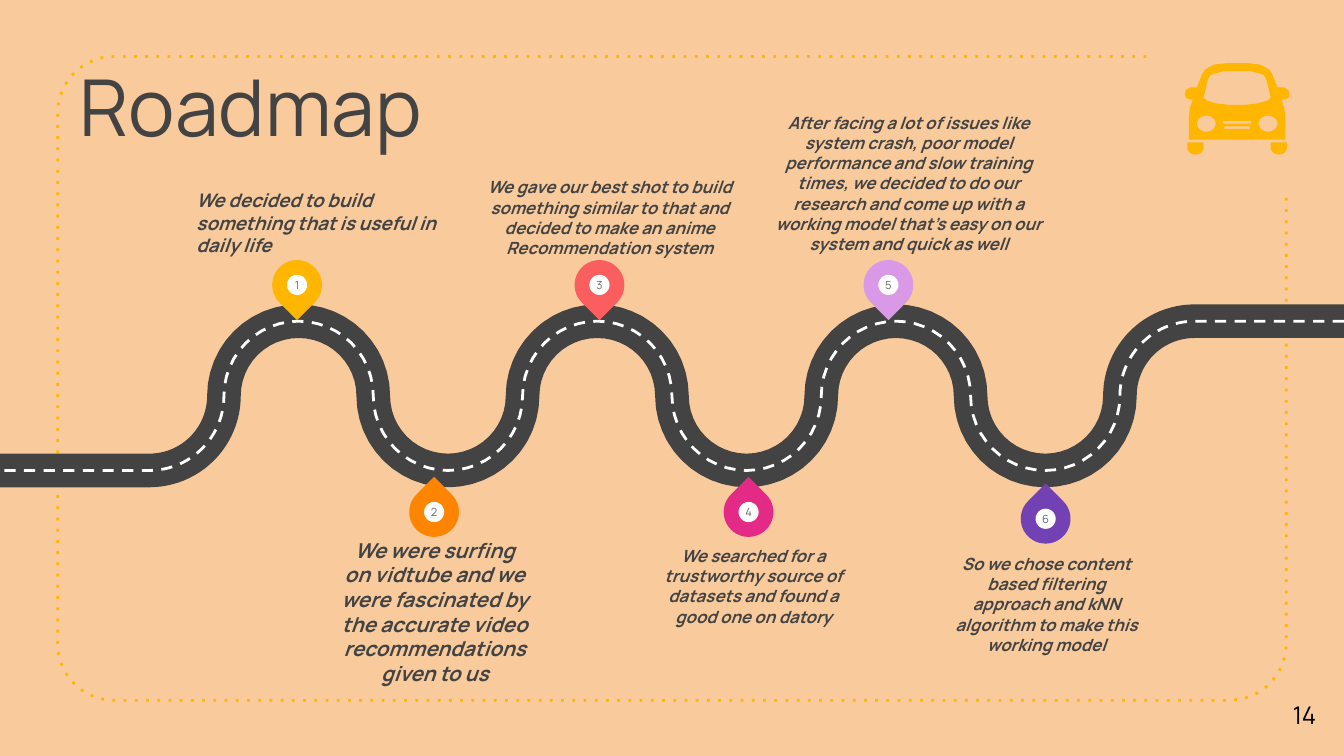
import dataclasses
import math

import pptx
import pptx.dml.color
import pptx.enum.dml
import pptx.enum.shapes
import pptx.enum.text
import pptx.oxml.ns
import pptx.util
from pptx.util import Inches

ANCHOR = pptx.enum.text.MSO_ANCHOR
ALIGN = pptx.enum.text.PP_ALIGN
SHAPE = pptx.enum.shapes.MSO_SHAPE


@dataclasses.dataclass(frozen=True)
class Theme:
    """Colours, font and type sizes of the slide."""
    font: str = "Manrope"
    background: str = "F9CB9C"
    accent: str = "FFB600"
    dark: str = "434343"
    number: str = "666666"
    white: str = "FFFFFF"
    black: str = "000000"
    title_size: int = 42
    page_size: int = 13
    pin_size: int = 6


THEME = Theme()

MILESTONES = [
    ("1", "FFB600", 2.21, 2.12, (1.46, 1.41, 1.85, 0.5), 10,
     ["We decided to build something that is useful in daily life"]),
    ("2", "FF8400", 3.23, 3.81, (2.53, 4, 1.41, 1.11), 11,
     ["We were surfing on vidtube and we were fascinated by the accurate "
      "video recommendations given to us"]),
    ("3", "FA5E5E", 4.46, 2.12, (3.58, 1.31, 1.91, 0.61), 9,
     ["We gave our best shot to build something similar to that and decided to make an anime",
      "Recommendation system"]),
    ("4", "E42A87", 5.57, 3.81, (4.86, 4.06, 1.49, 0.61), 9,
     ["We searched for a trustworthy source of datasets and found a good one on datory"]),
    ("5", "D999E6", 6.61, 2.12, (5.77, 0.83, 1.98, 1.06), 9,
     ["After facing a lot of issues like system crash, poor model performance and slow "
      "training times, we decided to do our research and come up with a working model "
      "that's easy on our system and quick as well"]),
    ("6", "7241B4", 7.78, 3.86, (7.08, 4.12, 1.41, 0.76), 9,
     ["So we chose content based filtering approach and kNN algorithm to make this "
      "working model"]),
]


def rgb(code):
    """Return the colour for a hex code."""
    return pptx.dml.color.RGBColor.from_string(code)


def arc(x, y, radius_x, radius_y, start, end, steps=24):
    """Return points along an elliptical arc, angles in degrees, y downwards."""
    angles = [math.radians(start + (end - start) * i / steps) for i in range(steps + 1)]
    return [(x + radius_x * math.cos(a), y + radius_y * math.sin(a)) for a in angles]


def mirrored(half):
    """Return a half outline followed by its reflection about x = 0."""
    return half + [(-x, y) for x, y in reversed(half)]


def draw_outline(slide, contours, origin=(0, 0), closed=False):
    """Draw contours, given in inches from an origin, as one freeform."""
    placed = [[(Inches(origin[0] + x), Inches(origin[1] + y)) for x, y in contour]
              for contour in contours]
    builder = slide.shapes.build_freeform(*placed[0][0], scale=1.0)
    builder.add_line_segments(placed[0][1:], close=closed)
    for contour in placed[1:]:
        builder.move_to(*contour[0])
        builder.add_line_segments(contour[1:], close=closed)
    shape = builder.convert_to_shape()
    shape.shadow.inherit = False
    return shape


def draw_line(slide, points, color, width, dash=None):
    """Draw an open line through points, with an optional preset dash."""
    shape = draw_outline(slide, [points])
    shape.fill.background()
    shape.line.color.rgb = rgb(color)
    shape.line.width = pptx.util.Pt(width)
    if dash:
        shape.line.dash_style = pptx.enum.dml.MSO_LINE.DASH
        shape._element.spPr.find(".//" + pptx.oxml.ns.qn("a:prstDash")).set("val", dash)


def draw_solid(slide, kind, center, size, color):
    """Draw a filled square-boxed preset shape around a centre."""
    shape = slide.shapes.add_shape(kind, Inches(center[0] - size / 2),
                                   Inches(center[1] - size / 2), Inches(size), Inches(size))
    shape.shadow.inherit = False
    shape.fill.solid()
    shape.fill.fore_color.rgb = rgb(color)
    shape.line.fill.background()
    return shape


def write(shape, lines, size, color, align=ALIGN.CENTER, anchor=ANCHOR.MIDDLE,
          inset=0, emphasis=False):
    """Fill a shape with formatted paragraphs."""
    frame = shape.text_frame
    frame.word_wrap = True
    frame.auto_size = pptx.enum.text.MSO_AUTO_SIZE.NONE
    frame.vertical_anchor = anchor
    frame.margin_left = frame.margin_right = Inches(inset)
    frame.margin_top = frame.margin_bottom = Inches(inset)
    frame.text = "\n".join(lines)
    for paragraph in frame.paragraphs:
        paragraph.alignment = align
        font = paragraph.font
        font.name, font.size = THEME.font, pptx.util.Pt(size)
        font.color.rgb = rgb(color)
        font.bold = font.italic = emphasis


def add_frame(slide, left, top, width, height):
    """Draw the dotted border, left open at the top right for the car."""
    radius, right, bottom = 0.42, left + width, top + height
    points = [(right - 1.04, top)]
    points += arc(left + radius, top + radius, radius, radius, 270, 180)
    points += arc(left + radius, bottom - radius, radius, radius, 180, 90)
    points += arc(right - radius, bottom - radius, radius, radius, 90, 0)
    points.append((right, top + 1.04))
    draw_line(slide, points, THEME.accent, 1.5, "dot")


def add_title(slide, left, top, width, height):
    """Place and format the title placeholder."""
    title = slide.shapes.title
    title.left, title.top = Inches(left), Inches(top)
    title.width, title.height = Inches(width), Inches(height)
    write(title, ["Roadmap"], THEME.title_size, THEME.dark, ALIGN.LEFT, ANCHOR.TOP, 0.1)


def add_road(slide, left, top, width, bends=8):
    """Draw a winding road of half circles with a dashed centre line."""
    pitch = width / (bends + 1)
    radius = pitch / 2
    points = [(left + width, top)]
    for bend in range(bends, 0, -1):
        turn = -1 if bend % 2 == 0 else 1
        start = 90 if bend == bends else 0
        end = 90 if bend == 1 else 180
        points += arc(left + bend * pitch, top + radius, radius, radius,
                      turn * start, turn * end)
    points.append((left, top + pitch))
    draw_line(slide, points, THEME.dark, 18)
    draw_line(slide, points, THEME.white, 1.5, "dash")


def add_milestone(slide, number, color, x, y, box, size, lines):
    """Add a numbered pin pointing at the road and its description."""
    above = box[1] < y
    pin = draw_solid(slide, SHAPE.TEAR, (x, y), 0.37, color)
    pin.rotation = 135 if above else 315
    dot = draw_solid(slide, SHAPE.OVAL, (x, y), 0.15, THEME.white)
    write(dot, [number], THEME.pin_size, THEME.number)
    label = slide.shapes.add_textbox(*map(Inches, box))
    write(label, lines, size, THEME.dark, ALIGN.LEFT if number == "1" else ALIGN.CENTER,
          ANCHOR.BOTTOM if above else ANCHOR.TOP, emphasis=True)


def add_car(slide, left, top, width):
    """Draw a car seen from the front, with cut-out glass, lamps and grille."""
    body = mirrored([(0, 0), (0.08, 0), (0.17, 0.01), (0.21, 0.03), (0.24, 0.05),
                     (0.26, 0.08), (0.3, 0.18), (0.35, 0.18), (0.38, 0.2), (0.39, 0.23),
                     (0.38, 0.26), (0.35, 0.27), (0.33, 0.27), (0.35, 0.33),
                     (0.36, 0.4), (0.36, 0.57)])
    glass = mirrored([(0, 0.06), (0.1, 0.06), (0.18, 0.08), (0.2, 0.09), (0.22, 0.13),
                      (0.25, 0.26), (0.22, 0.28), (0.15, 0.3), (0.06, 0.31)])
    slots = [mirrored([(half, y), (half + 0.01, y + 0.01), (half, y + 0.02)])
             for half, y in ((0.1, 0.43), (0.09, 0.47))]
    lamps = [arc(x, 0.45, 0.07, 0.06, 0, 360) for x in (-0.23, 0.23)]
    wheels = [[(x - 0.06, 0.59), (x + 0.06, 0.59)] + arc(x, 0.63, 0.06, 0.05, 0, 180)
              for x in (-0.31, 0.31)]
    car = draw_outline(slide, [body, glass, *slots, *lamps, *wheels],
                       (left + width / 2, top), True)
    car.fill.solid()
    car.fill.fore_color.rgb = rgb(THEME.accent)
    car.line.fill.background()


def add_page_number(slide, left, top, width, height):
    """Add the page number."""
    label = slide.shapes.add_textbox(*map(Inches, (left, top, width, height)))
    write(label, ["14"], THEME.page_size, THEME.black, inset=0.1)


def main():
    """Build and save the roadmap slide."""
    presentation = pptx.Presentation()
    presentation.slide_width = Inches(10)
    presentation.slide_height = presentation.slide_width * 9 // 16
    slide = presentation.slides.add_slide(presentation.slide_layouts[5])
    slide.background.fill.solid()
    slide.background.fill.fore_color.rgb = rgb(THEME.background)
    add_frame(slide, 0.43, 0.42, 9.14, 4.79)
    add_title(slide, 0.49, 0.33, 5.63, 0.87)
    add_road(slide, 0, 2.39, 10)
    for milestone in MILESTONES:
        add_milestone(slide, *milestone)
    add_car(slide, 8.81, 0.47, 0.79)
    add_page_number(slide, 9.41, 5.02, 0.59, 0.6)
    presentation.save("out.pptx")


if __name__ == "__main__":
    main()
